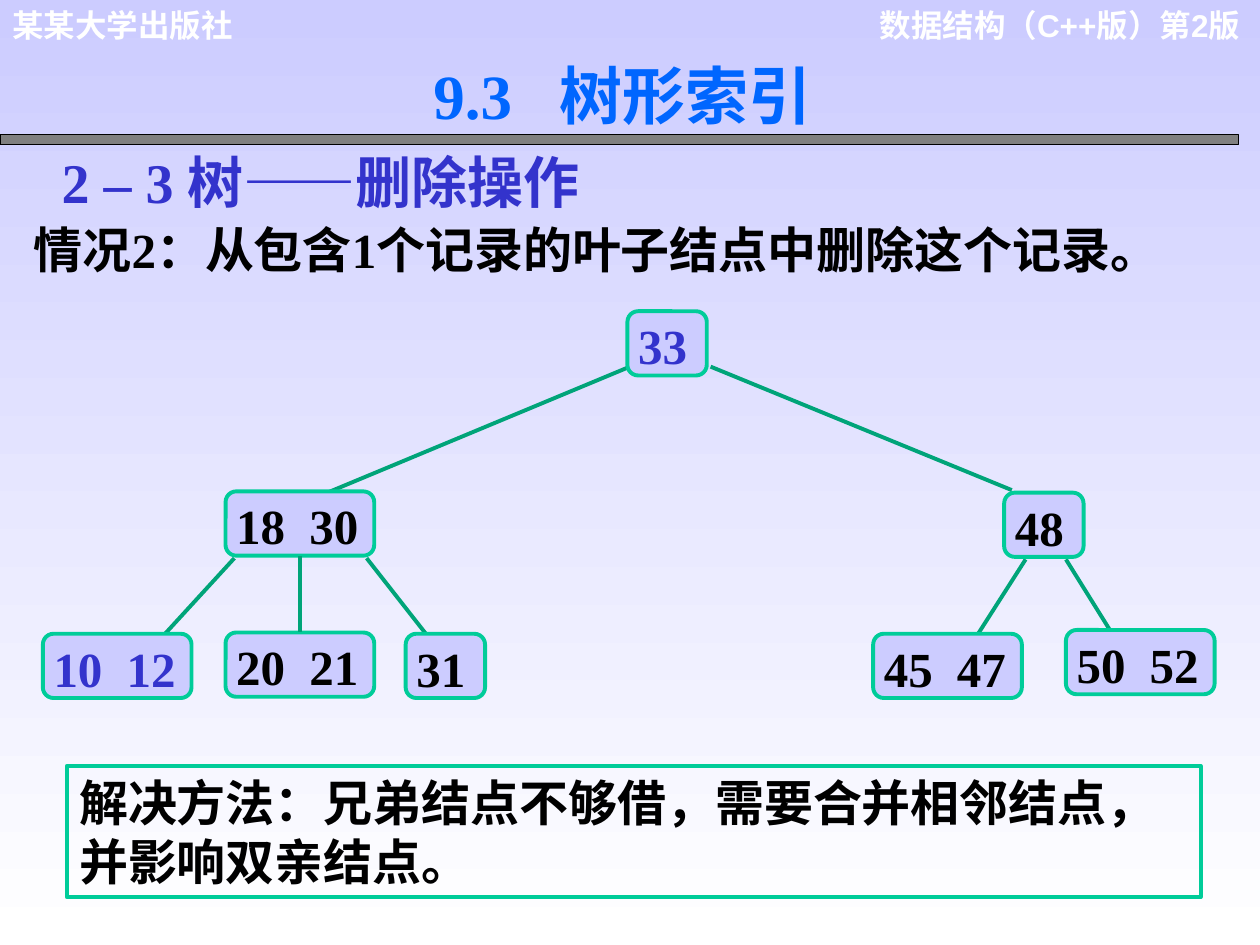
import lxml.etree
import pptx
import pptx.dml.color
import pptx.enum.shapes
import pptx.enum.text
import pptx.oxml.ns
import pptx.util

Inches = pptx.util.Inches
Align = pptx.enum.text.PP_ALIGN
Anchor = pptx.enum.text.MSO_ANCHOR
Fit = pptx.enum.text.MSO_AUTO_SIZE
Form = pptx.enum.shapes.MSO_SHAPE
SERIF = "Times New Roman"
WIDE = (0.1, 0.05, 0.1, 0.05)
TIGHT = (0.06, 0.01, 0.02, 0.01)


def shade(code):
    """Turn a hex string into a colour."""
    return pptx.dml.color.RGBColor.from_string(code)


def apply(item, values):
    """Set each attribute named in a dict."""
    for name, value in values.items():
        setattr(item, name, value)


def place(item, box):
    """Move an item to a box given in inches."""
    names = ("left", "top", "width", "height")
    apply(item, dict(zip(names, map(Inches, box))))


def write(item, text, size, color, face=SERIF, pad=WIDE, align=Align.LEFT,
          anchor=Anchor.TOP, fit=Fit.SHAPE_TO_FIT_TEXT, wrap=True, tab=None):
    """Fill an item with one formatted paragraph."""
    frame = item.text_frame
    names = ("margin_left", "margin_top", "margin_right", "margin_bottom")
    apply(frame, dict(zip(names, map(Inches, pad))))
    apply(frame, {"word_wrap": wrap, "auto_size": fit,
                  "vertical_anchor": anchor})
    para = frame.paragraphs[0]
    if tab:
        props = para._p.get_or_add_pPr()
        stops = lxml.etree.SubElement(props, pptx.oxml.ns.qn("a:tabLst"))
        lxml.etree.SubElement(stops, pptx.oxml.ns.qn("a:tab"),
                              pos=str(Inches(tab)), algn="l")
    para.alignment = align
    run = para.add_run()
    run.text = text
    apply(run.font, {"name": face, "size": pptx.util.Pt(size), "bold": True})
    run.font.color.rgb = shade(color)


def label(slide, box, text, size, color, **style):
    """Add a text box."""
    item = slide.shapes.add_textbox(*map(Inches, box))
    write(item, text, size, color, **style)


def panel(slide, box, form, line, width, fill=None):
    """Add an outlined shape, filled if a colour is given."""
    item = slide.shapes.add_shape(form, *map(Inches, box))
    item.shadow.inherit = False
    if fill:
        item.fill.solid()
        item.fill.fore_color.rgb = shade(fill)
    else:
        item.fill.background()
    item.line.color.rgb = shade(line)
    item.line.width = pptx.util.Pt(width)
    return item


def link(slide, ends):
    """Add a straight branch between two points."""
    kind = pptx.enum.shapes.MSO_CONNECTOR.STRAIGHT
    item = slide.shapes.add_connector(kind, *map(Inches, ends))
    item.line.color.rgb = shade("00A479")
    item.line.width = pptx.util.Pt(2.25)
    lxml.etree.SubElement(item._element.spPr, pptx.oxml.ns.qn("a:effectLst"))
    return item


def header(slide, box):
    """Place the running heads, the title and the rule below them."""
    left, top, width, height = box
    style = {"size": 18, "color": "FFFFFF", "face": "Arial"}
    label(slide, (left + width - 3.23, top, 3.17, 0.7),
          "数据结构（C++版）第2版", align=Align.RIGHT, **style)
    label(slide, (left, top, 2.71, 0.4), "某某大学出版社", **style)
    panel(slide, (left, top + height - 0.08, 9.83, 0.08),
          Form.RECTANGLE, "000000", 0.75, "808080")
    title = slide.shapes.title
    place(title, (left + 3.34, top + 0.4, 4.08, 0.7))
    write(title, "9.3\t树形索引", 36, "0066FF", tab=1)


def intro(slide, box):
    """Place the topic and the case below it."""
    left, top, width, height = box
    label(slide, (left + 0.22, top, 4.57, 0.64),
          "2 – 3 树——删除操作", 32, "3333CC")
    label(slide, (left, top + 0.57, width, 0.57),
          "情况2：从包含1个记录的叶子结点中删除这个记录。", 28, "000000",
          anchor=Anchor.MIDDLE, wrap=False)


def tree(slide, box):
    """Place the branches and the nodes of the tree."""
    left, top = box[:2]
    edges = [(4.66, 0.44, 2.21, 1.46), (5.3, 0.44, 7.69, 1.42),
             (1.52, 1.96, 0.97, 2.56), (2.57, 1.96, 3.04, 2.56),
             (7.8, 1.97, 7.41, 2.58), (8.12, 1.97, 8.5, 2.58)]
    for ax, ay, bx, by in edges:
        link(slide, (left + ax, top + ay, left + bx, top + by))
    nodes = [("33", 4.64, 0), ("18\t30", 1.45, 1.43), ("48", 7.63, 1.44),
             ("10\t12", 0, 2.56), ("20\t21", 1.45, 2.55), ("31", 2.88, 2.56),
             ("45\t47", 6.59, 2.56), ("50\t52", 8.12, 2.53)]
    made = {}
    for keys, dx, dy in nodes:
        width = 1.18 if "\t" in keys else 0.63
        node = panel(slide, (left + dx, top + dy, width, 0.51),
                     Form.ROUNDED_RECTANGLE, "00CC99", 2.25, "CCCCFF")
        color = "3333CC" if keys in ("33", "10\t12") else "000000"
        write(node, keys, 28, color, pad=TIGHT, align=Align.JUSTIFY,
              fit=Fit.NONE, tab=0.58)
        made[keys] = node
    stem = link(slide, (0, 0, 0, 0))
    stem.begin_connect(made["18\t30"], 2)
    stem.end_connect(made["20\t21"], 0)


def remedy(slide, box):
    """Place the framed solution."""
    frame = panel(slide, box, Form.RECTANGLE, "00CC99", 2.25)
    write(frame, "解决方法：兄弟结点不够借，需要合并相邻结点，并影响双亲结点。",
          28, "000000", anchor=Anchor.MIDDLE)


def main():
    """Build the slide and save it."""
    deck = pptx.Presentation()
    apply(deck, {"slide_width": Inches(10), "slide_height": Inches(7.5)})
    slide = deck.slides.add_slide(deck.slide_layouts[5])
    fill = slide.background.fill
    fill.gradient()
    fill.gradient_angle = 270
    for stop, code in zip(fill.gradient_stops, ("CCCCFF", "FFFFFF")):
        stop.color.rgb = shade(code)
    header(slide, (0, 0, 10, 1.15))
    intro(slide, (0.17, 1.12, 9.59, 1.14))
    tree(slide, (0.34, 2.47, 9.3, 3.07))
    remedy(slide, (0.53, 6.08, 9, 1.04))
    deck.save("out.pptx")


if __name__ == "__main__":
    main()
